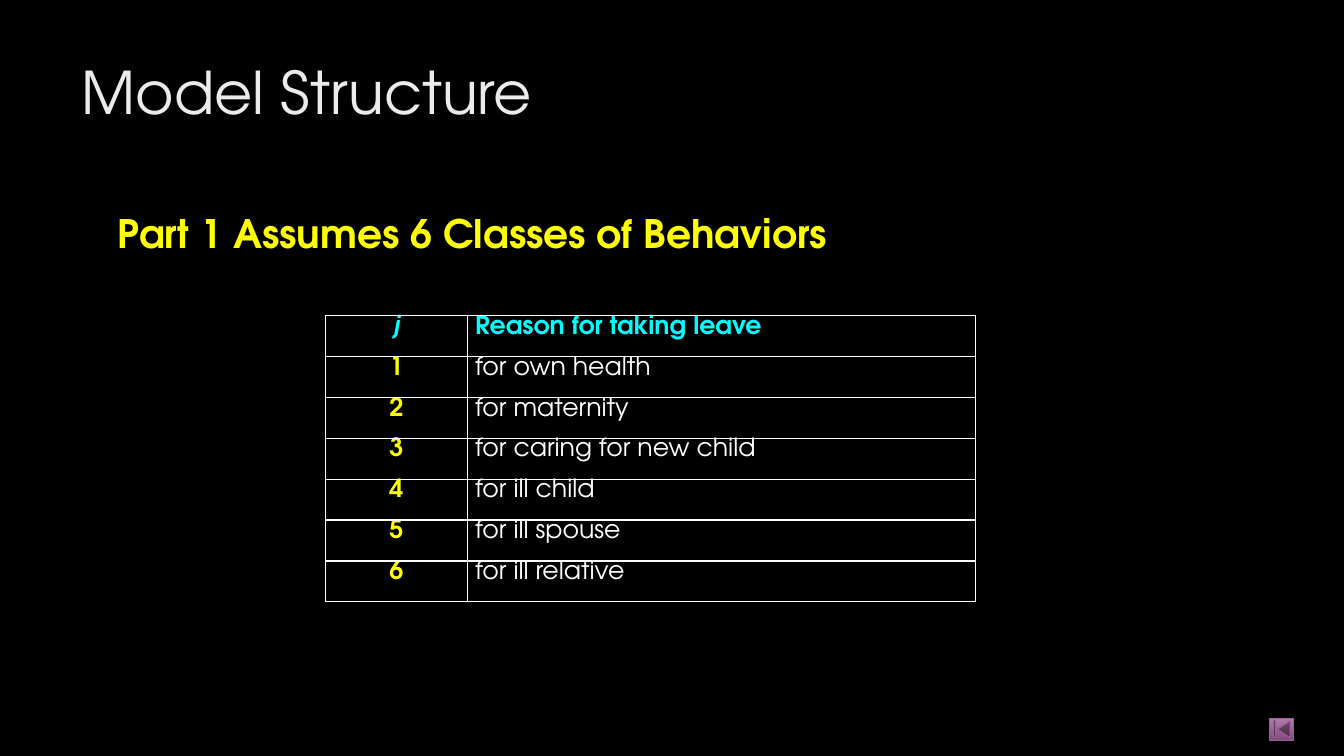
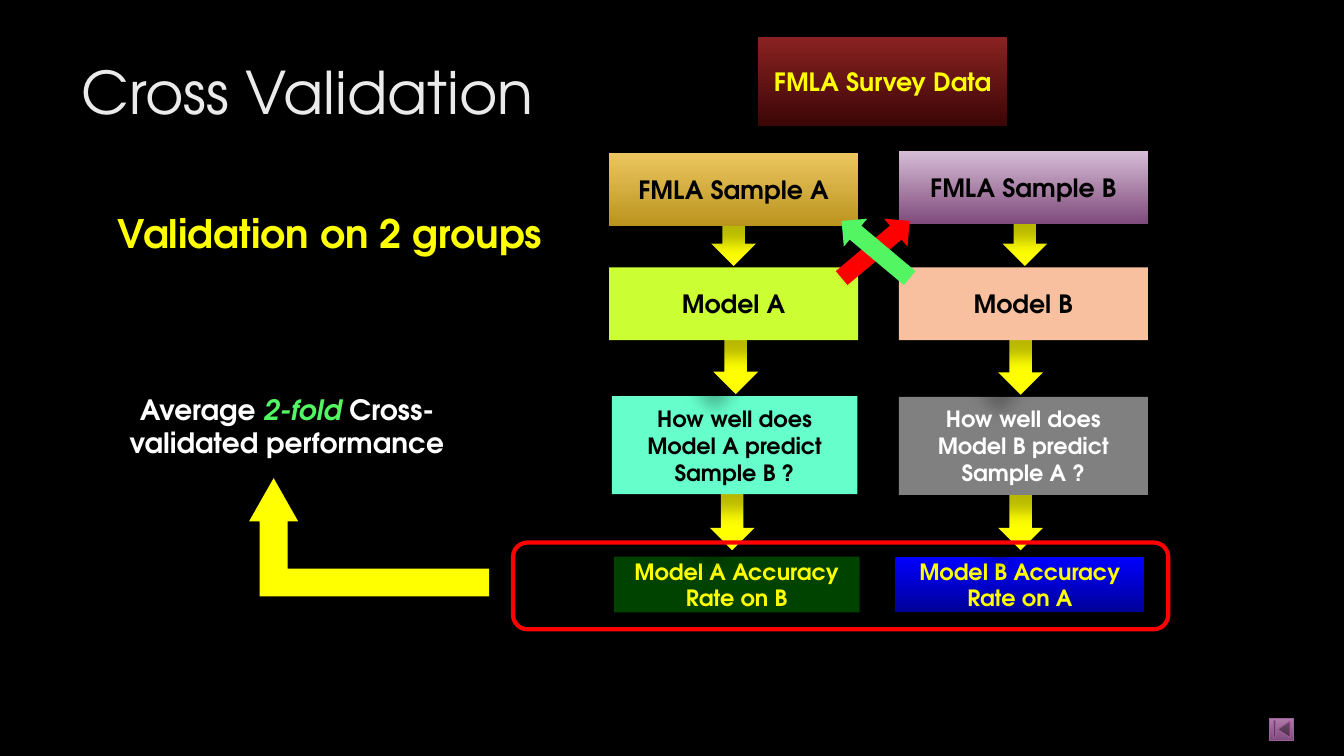
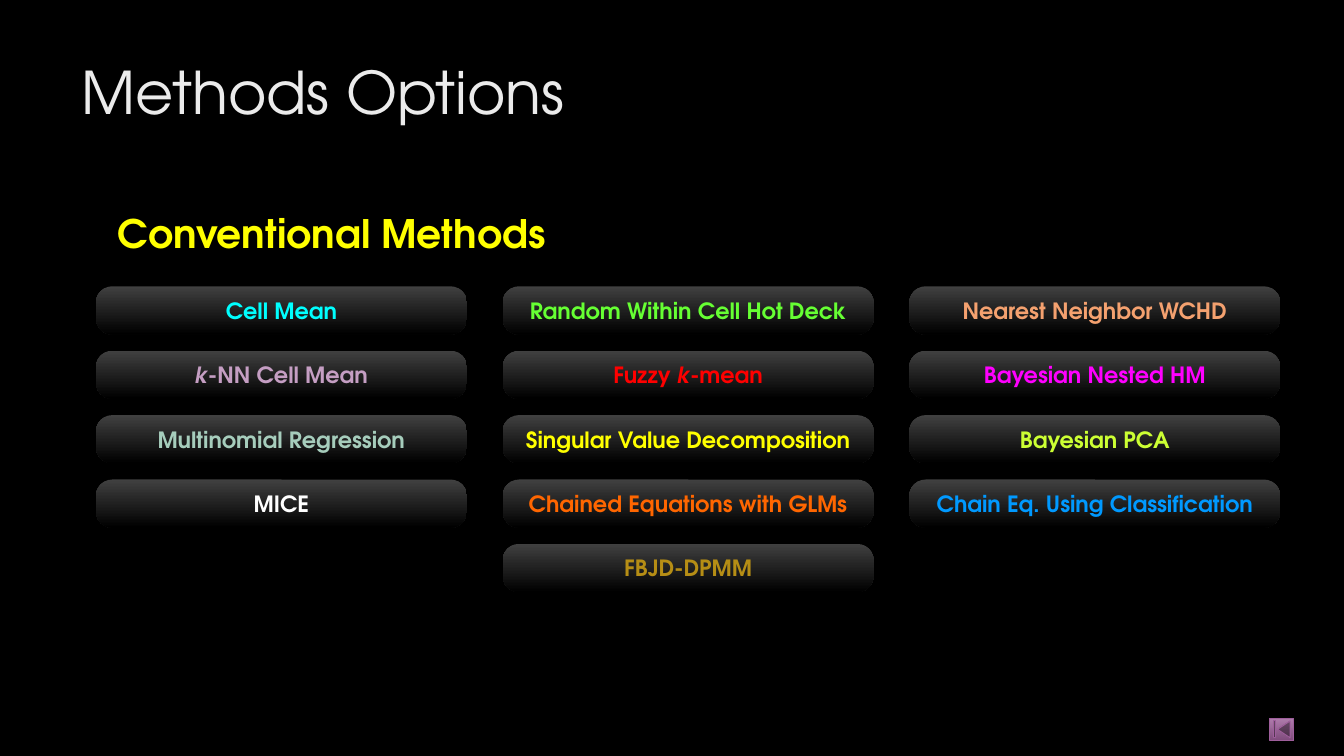
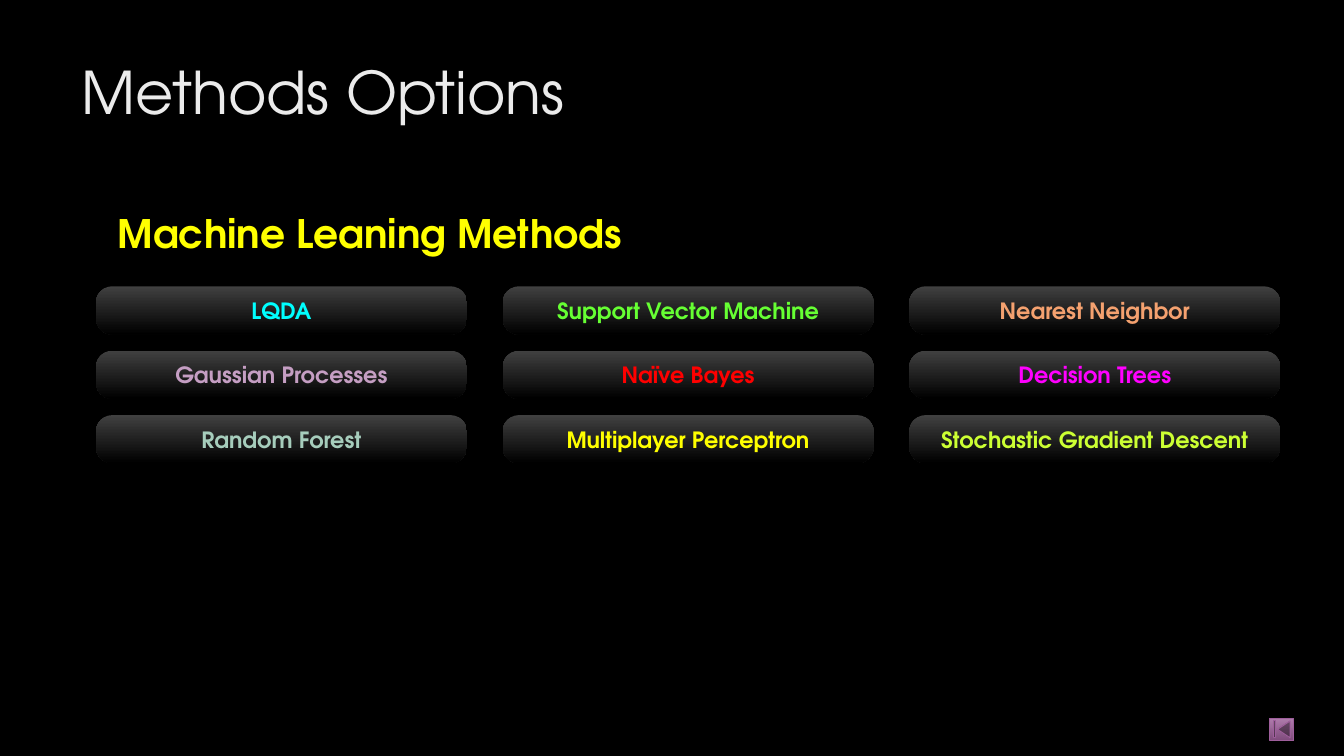
from lxml import etree
from pptx import Presentation
from pptx.dml import color as dml
from pptx.enum import shapes, text
from pptx.oxml import ns
from pptx.util import Pt

FACE = "TeX Gyre Adventor"
BLACK, WHITE, YELLOW, CYAN = "000000", "FFFFFF", "FFFF00", "00FFFF"
RED, GREEN, LIME = "FF0000", "53F562", "CCFF33"
KIND = shapes.MSO_SHAPE
LEFT, MID = text.PP_ALIGN.LEFT, text.PP_ALIGN.CENTER
TOP, CORE = text.MSO_ANCHOR.TOP, text.MSO_ANCHOR.MIDDLE

# Content; text between asterisks is italic

REASONS = [
    ("*j*", "Reason for taking leave"),
    ("1", "for own health"),
    ("2", "for maternity"),
    ("3", "for caring for new child"),
    ("4", "for ill child"),
    ("5", "for ill spouse"),
    ("6", "for ill relative"),
]

# Back to front: label, box, text size, text colour, fill.
# An entry without a label is a down arrow.
FLOW = [
    ("Model A Accuracy Rate on B", (438.5, 397.5, 175.5, 40), 16, YELLOW, ["004200"]),
    ("", (507, 347.5)),
    ("Model B Accuracy Rate on A", (639.5, 397.5, 178, 40), 16, YELLOW, ["0000FF", "000099"]),
    ("", (713, 347.5)),
    ("How well does Model B predict Sample A ?", (642, 283.5, 178, 70), 16, WHITE, ["808080"]),
    ("", (713, 236.5)),
    ("How well does Model A predict Sample B ?", (437, 283, 175.5, 70), 16, BLACK, ["66FFCC"]),
    ("", (509.5, 236)),
    ("", (716, 144.5)),
    ("Model B", (642, 191, 178, 52), 18, BLACK, ["F8C09F"]),
    ("", (508, 144.5)),
    ("Model A", (435, 191, 178, 52), 18, BLACK, [LIME]),
    ("FMLA Survey Data", (541.5, 26.5, 178, 63.5), 18, YELLOW, ["8A2222", "3C0606"]),
    ("FMLA Sample A", (435, 109.5, 178, 52), 18, BLACK, ["EBC65F", "BB941F"]),
    ("FMLA Sample B", (642, 108, 178, 52), 18, BLACK, ["D6BCD5", "7F4B7C"]),
]

USUAL = [
    ("Cell Mean", "Random Within Cell Hot Deck", "Nearest Neighbor WCHD"),
    ("*k*-NN Cell Mean", "Fuzzy *k*-mean", "Bayesian Nested HM"),
    ("Multinomial Regression", "Singular Value Decomposition", "Bayesian PCA"),
    ("MICE", "Chained Equations with GLMs", "Chain Eq. Using Classification"),
    ("", "FBJD-DPMM", ""),
]
LEARN = [
    ("LQDA", "Support Vector Machine", "Nearest Neighbor"),
    ("Gaussian Processes", "Naïve Bayes", "Decision Trees"),
    ("Random Forest", "Multiplayer Perceptron", "Stochastic Gradient Descent"),
]
HUES = [
    (CYAN, "66FF33", "F4A16F"),
    ("C59EC3", RED, "FF00FF"),
    ("A6CDBC", YELLOW, LIME),
    (WHITE, "FF6600", "0099FF"),
    ("", "B68E15", ""),
]


def rgb(code):
    return dml.RGBColor.from_string(code)


def pts(box):
    return [Pt(n) for n in box]


def put(frame, words, size=18, color=WHITE, accent=None, bold=True,
        align=LEFT, anchor=TOP, indent=0):
    """Write one paragraph; parts between asterisks are italic, in accent."""
    frame.word_wrap = True
    frame.auto_size = text.MSO_AUTO_SIZE.NONE
    frame.vertical_anchor = anchor
    para = frame.paragraphs[0]
    para.alignment = align
    para.space_before = Pt(0)
    props = para._p.get_or_add_pPr()
    props.set("marL", str(Pt(indent)))
    props.set("indent", "0")
    etree.SubElement(props, ns.qn("a:buNone"))
    for i, part in enumerate(words.split("*")):
        if part:
            run = para.add_run()
            run.text = part
            font = run.font
            font.name, font.size = FACE, Pt(size)
            font.bold, font.italic = bold, i % 2 == 1
            font.color.rgb = rgb(accent if accent and i % 2 else color)


def shade(shape):
    """Add a soft shadow towards the lower left."""
    effect = shape._element.spPr.find(ns.qn("a:effectLst"))
    outer = etree.SubElement(effect, ns.qn("a:outerShdw"), blurRad=str(Pt(11.8)),
                             dist=str(Pt(19.7)), dir=str(141 * 60000),
                             algn="ctr", rotWithShape="0")
    tint = etree.SubElement(outer, ns.qn("a:srgbClr"), val=BLACK)
    etree.SubElement(tint, ns.qn("a:alpha"), val="28000")


def draw(slide, kind, box, fill=(), line=None, width=1, adj=(), turn=0, cast=False):
    """Add a shape; two fill colours make a gradient from top to bottom."""
    shape = slide.shapes.add_shape(kind, *pts(box))
    shape.shadow.inherit = False
    shape.rotation = turn
    for i, value in enumerate(adj):
        shape.adjustments[i] = value
    if len(fill) == 2:
        shape.fill.gradient()
        shape.fill.gradient_angle = 270
        for stop, code in zip(shape.fill.gradient_stops, fill):
            stop.color.rgb = rgb(code)
    elif fill:
        shape.fill.solid()
        shape.fill.fore_color.rgb = rgb(fill[0])
    else:
        shape.fill.background()
    if line:
        shape.line.color.rgb = rgb(line)
        shape.line.width = Pt(width)
    else:
        shape.line.fill.background()
    if cast:
        shade(shape)
    return shape


def setup(deck):
    """Give all slides the background and the title and heading places."""
    deck.slide_width, deck.slide_height = Pt(960), Pt(540)
    back = deck.slide_master.background.fill
    back.solid()
    back.fore_color.rgb = rgb(BLACK)
    layout = deck.slide_layouts[1]
    places = [(51, 36, 741, 110), (68.5, 146, 756, 58)]
    for holder, box in zip(layout.placeholders, places):
        holder.left, holder.top, holder.width, holder.height = pts(box)
    return layout


def share(deck, slide):
    """Move the back button to the master, so that every slide shows it."""
    button = draw(slide, KIND.ACTION_BUTTON_BEGINNING, (907, 513, 17, 16),
                  ["AF7CAC", "7F4B7C"], line="9E5E9B", width=0.75)
    button._element.nvSpPr.cNvPr.set("id", "20")
    deck.slide_master.shapes._spTree.append(button._element)


def start(deck, layout, title, head):
    slide = deck.slides.add_slide(layout)
    put(slide.shapes.title.text_frame, title, size=42, color="EBEBEB", bold=False)
    put(slide.placeholders[1].text_frame, head, size=28, color=YELLOW, indent=8.5)
    return slide


def edge(cell):
    props = cell._tc.get_or_add_tcPr()
    for i, side in enumerate(("lnL", "lnR", "lnT", "lnB")):
        line = etree.Element(ns.qn("a:" + side), w=str(Pt(1)))
        fill = etree.SubElement(line, ns.qn("a:solidFill"))
        etree.SubElement(fill, ns.qn("a:srgbClr"), val=WHITE)
        props.insert(i, line)


def grid(slide):
    high = 29.2
    widths = (101.5, 363)
    box = (232.5, 225.5, sum(widths), high * len(REASONS))
    table = slide.shapes.add_table(len(REASONS), 2, *pts(box)).table
    table.first_row = table.horz_banding = False
    for col, wide in zip(table.columns, widths):
        col.width = Pt(wide)
    for r, row in enumerate(REASONS):
        table.rows[r].height = Pt(high)
        for c, words in enumerate(row):
            cell = table.cell(r, c)
            cell.margin_left = cell.margin_right = Pt(5.4)
            cell.margin_top = cell.margin_bottom = Pt(0)
            cell.fill.solid()
            cell.fill.fore_color.rgb = rgb(BLACK)
            edge(cell)
            hue = CYAN if r == 0 else (YELLOW, WHITE)[c]
            put(cell.text_frame, words, color=hue, bold=r == 0 or c == 0,
                align=LEFT if c else MID)


def flow(slide):
    for words, box, *style in FLOW:
        if words:
            size, hue, fill = style
            shape = draw(slide, KIND.RECTANGLE, box, fill, cast=True)
            put(shape.text_frame, words, size=size, color=hue, align=MID, anchor=CORE)
        else:
            draw(slide, KIND.DOWN_ARROW, (*box, 32, 45.5), [YELLOW], cast=True)
    draw(slide, KIND.ROUNDED_RECTANGLE, (366.5, 387.5, 468, 62), line=RED, width=3)
    note = slide.shapes.add_textbox(*pts((51, 276.5, 299.5, 58)))
    put(note.text_frame, "Average *2-fold* Cross-validated performance",
        size=20, accent=GREEN, align=MID, indent=8.5)
    bend = draw(slide, KIND.BENT_UP_ARROW, (178, 341.5, 171.5, 84.5), [YELLOW],
                adj=(0.235, 0.207, 0.365), cast=True)
    bend._element.spPr.xfrm.set("flipH", "1")
    for hue, turn in ((RED, 50), (GREEN, 310)):
        draw(slide, KIND.UP_ARROW, (612.5, 146.5, 26, 63.5), [hue], turn=turn)


def pills(slide, rows):
    for r, (row, hues) in enumerate(zip(rows, HUES)):
        for c, (words, hue) in enumerate(zip(row, hues)):
            if words:
                box = (68.5 + 290.5 * c, 204.5 + 46 * r, 265, 34.5)
                shape = draw(slide, KIND.ROUNDED_RECTANGLE, box,
                             ["404040", BLACK], adj=[0.34])
                put(shape.text_frame, words, size=16, color=hue,
                    align=MID, anchor=CORE)


def main():
    deck = Presentation()
    layout = setup(deck)
    first = start(deck, layout, "Model Structure", "Part 1 Assumes 6 Classes of Behaviors")
    share(deck, first)
    grid(first)
    flow(start(deck, layout, "Cross Validation", "Validation on 2 groups"))
    for head, rows in (("Conventional Methods", USUAL), ("Machine Leaning Methods", LEARN)):
        pills(start(deck, layout, "Methods Options", head), rows)
    deck.save("out.pptx")


if __name__ == "__main__":
    main()
